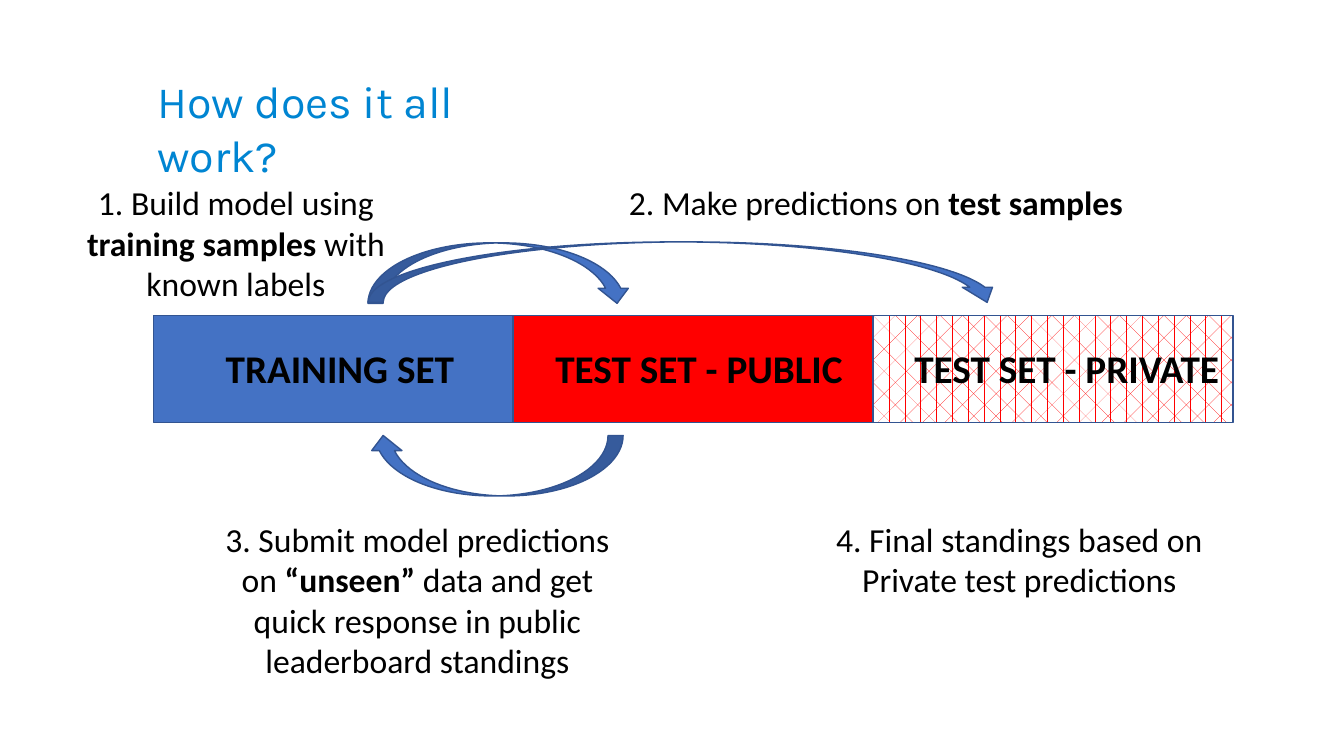
"""Build a slide on how a prediction contest splits and scores its data."""
import pptx
import pptx.util
import pptx.dml.color
import pptx.enum.dml
import pptx.enum.shapes
import pptx.enum.text

Inches = pptx.util.Inches
SHAPE = pptx.enum.shapes.MSO_SHAPE
ALIGN = pptx.enum.text.PP_ALIGN
BLUE, RED, EDGE = "4472C4", "FF0000", "325491"


def color(code):
    return pptx.dml.color.RGBColor.from_string(code)


def add_text(slide, box, text, size=24, font="Calibri", ink="000000",
             bold=None, align=ALIGN.CENTER, wrap=True):
    frame = slide.shapes.add_textbox(*map(Inches, box)).text_frame
    frame.word_wrap = wrap
    frame.auto_size = pptx.enum.text.MSO_AUTO_SIZE.SHAPE_TO_FIT_TEXT
    para = frame.paragraphs[0]
    para.alignment = align
    para.font.size = pptx.util.Pt(size)
    para.font.name = font
    para.font.color.rgb = color(ink)
    para.font.bold = bold
    for index, part in enumerate(text.split("*")):
        if part:
            run = para.add_run()
            run.text = part
            if index % 2:
                run.font.bold = True


def add_shape(slide, kind, box, fill=BLUE):
    shape = slide.shapes.add_shape(kind, *map(Inches, box))
    shape.shadow.inherit = False
    shape.fill.solid()
    shape.fill.fore_color.rgb = color(fill)
    shape.line.color.rgb = color(EDGE)
    shape.line.width = pptx.util.Pt(1)
    return shape


def add_hatch(shape):
    shape.fill.patterned()
    shape.fill.pattern = pptx.enum.dml.MSO_PATTERN.DIVOT
    shape.fill.fore_color.rgb = color(RED)
    shape.fill.back_color.rgb = color("FFFFFF")


def add_bar(slide):
    left, top, width, height = 1.52, 3.13, 3.57, 1.06
    blocks = [add_shape(slide, SHAPE.RECTANGLE,
                        (left + i * width, top, width, height), fill)
              for i, fill in enumerate((BLUE, RED, RED))]
    add_hatch(blocks[-1])
    for label, x, span in (("TRAINING SET", 2.14, 2.5),
                           ("TEST SET - PUBLIC", 5.41, 3.09),
                           ("TEST SET - PRIVATE", 8.97, 3.26)):
        add_text(slide, (x, 3.37, span, 0.57), label, size=28, bold=True,
                 align=ALIGN.LEFT, wrap=False)


def add_arrow(slide, top, width, turn=0):
    arrow = add_shape(slide, SHAPE.CURVED_DOWN_ARROW, (3.65, top, width, 0.6))
    arrow.rotation = turn


def main():
    deck = pptx.Presentation()
    deck.slide_width, deck.slide_height = Inches(13.33), Inches(7.5)
    slide = deck.slides.add_slide(deck.slide_layouts[6])
    add_bar(slide)
    add_arrow(slide, 4.32, 2.53, turn=180)
    add_arrow(slide, 2.41, 2.62)
    add_arrow(slide, 2.4, 6.29)
    add_text(slide, (1.46, 0.68, 4.22, 0.64), "How does it all work?", size=32,
             font="Karla", ink="0085D2", align=ALIGN.LEFT)
    steps = (
        ((0.54, 1.76, 3.6, 1.31),
         "1. Build model using *training samples *with known labels"),
        ((5.75, 1.76, 5.95, 0.5), "2. Make predictions on *test samples *"),
        ((2.02, 5.1, 4.24, 1.72),
         "3. Submit model predictions on *“unseen”* data and get "
         "quick response in public leaderboard standings"),
        ((7.99, 5.1, 4.24, 0.91),
         "4. Final standings based on Private test predictions"),
    )
    for box, text in steps:
        add_text(slide, box, text)
    deck.save("out.pptx")


if __name__ == "__main__":
    main()
